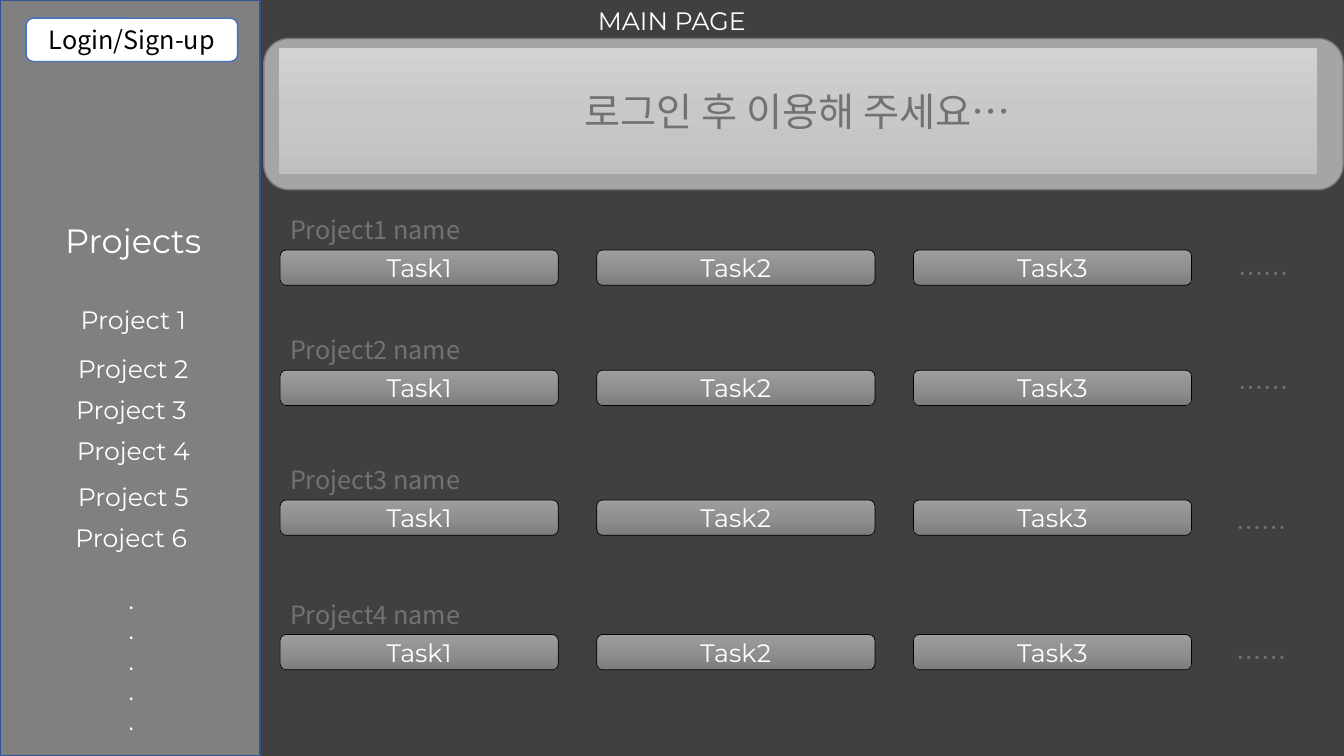
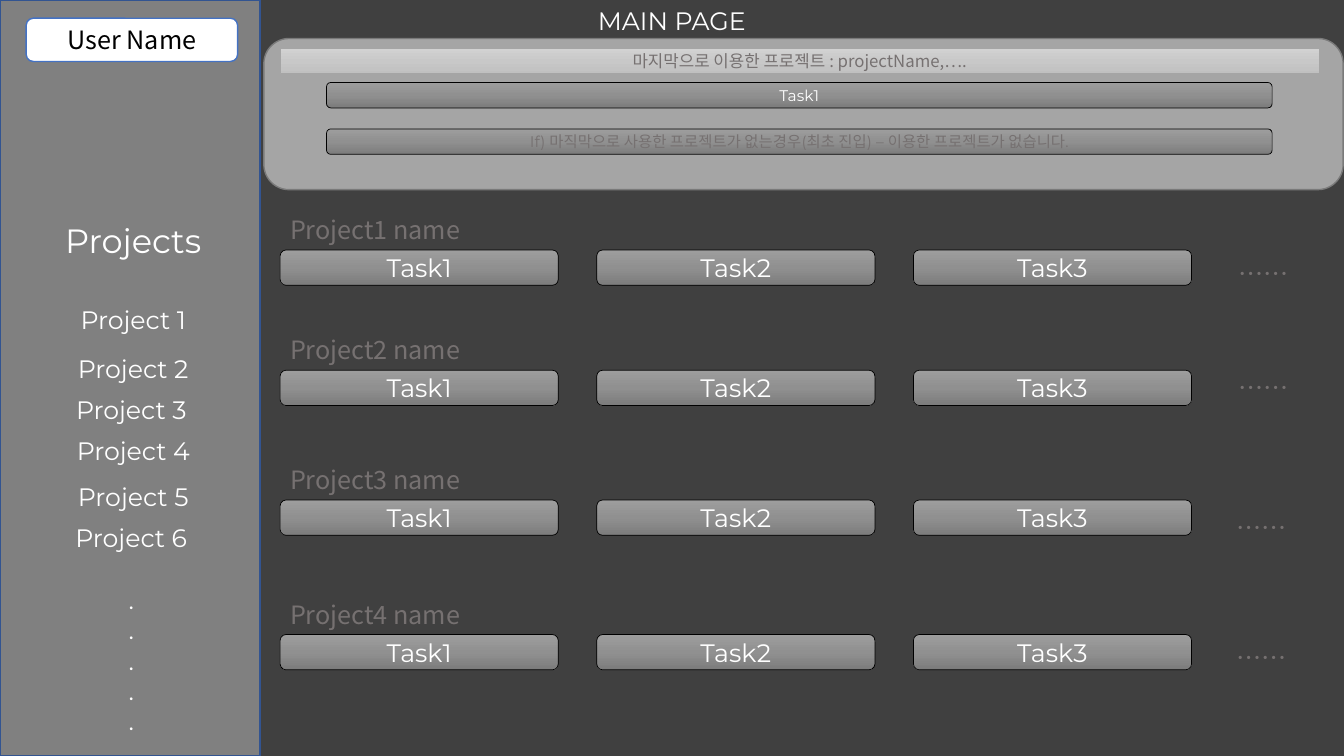
"""Build two wireframes of a project manager's main page."""
import copy

from lxml import etree
from pptx import Presentation
from pptx import util as u
from pptx.dml.color import RGBColor
from pptx.enum import shapes, text
from pptx.oxml.ns import qn

LATIN, KOREAN = "Montserrat", "Noto Sans CJK KR"
WHITE, BLACK, MUTED = "FFFFFF", "000000", "767171"
BACKGROUND, SIDEBAR, SIDEBAR_LINE, ACCENT = "404040", "D9D9D9", "325491", "4472C4"
PANEL, PANEL_LINE = "A5A5A5", "7A7A7A"
BUTTON_SHADES = ("9D9D9D", "909090", "7C7C7C")
NOTICE_SHADES = ("D2D2D2", "C8C8C8", "C0C0C0")
RECTANGLE = shapes.MSO_SHAPE.RECTANGLE
ROUNDED = shapes.MSO_SHAPE.ROUNDED_RECTANGLE
CENTER, LEFT = text.PP_ALIGN.CENTER, text.PP_ALIGN.LEFT

PROJECT_SPOTS = ((0.2, 7.54), (0.2, 8.79), (0.15, 9.8), (0.2, 10.85), (0.2, 12.01), (0.15, 13.03))
TASK_ROWS = ((5.28, 30.96, 6.38), (8.31, 30.96, 9.25), (11.58, 30.91, 12.78), (14.97, 30.91, 16.05))


def color(value):
    """Turn a hex string into a colour."""
    return RGBColor.from_string(value)


class Wireframe:
    """Hold the deck, the current page and the shared style."""

    def __init__(self):
        """Start a widescreen deck."""
        self.deck = Presentation()
        self.deck.slide_width, self.deck.slide_height = u.Cm(33.87), u.Cm(19.05)
        self.page = None

    def set_text(self, box, words, size, font, ink, align=CENTER):
        """Fill a box with text in one style."""
        box.text_frame.word_wrap = True
        box.text_frame.text = words
        for para in box.text_frame.paragraphs:
            para.alignment = align
            para.font.size = u.Pt(size)
            para.font.name = font
            para.font.color.rgb = color(ink)
        for style in box.element.iter(qn("a:defRPr")):
            etree.SubElement(style, qn("a:ea")).set("typeface", KOREAN)

    def start_page(self, title):
        """Add a dark page with its title."""
        self.page = self.deck.slides.add_slide(self.deck.slide_layouts[5])
        self.page.background.fill.solid()
        self.page.background.fill.fore_color.rgb = color(BACKGROUND)
        box = self.page.shapes.title
        box.left, box.top, box.width, box.height = u.Cm(11.81), u.Cm(0), u.Cm(10.24), u.Cm(1.02)
        self.set_text(box, title, 18, LATIN, WHITE)
        box.text_frame.vertical_anchor = text.MSO_ANCHOR.TOP
        box.text_frame.auto_size = text.MSO_AUTO_SIZE.NONE

    def label(self, words, left, top, width, height, size=18, font=LATIN, ink=WHITE, align=CENTER):
        """Add a text box."""
        box = self.page.shapes.add_textbox(u.Cm(left), u.Cm(top), u.Cm(width), u.Cm(height))
        self.set_text(box, words, size, font, ink, align)
        box.text_frame.auto_size = text.MSO_AUTO_SIZE.SHAPE_TO_FIT_TEXT

    def block(self, kind, place, fill, line, weight=1.0):
        """Add a preset shape with a plain fill, or a gradient for several shades."""
        box = self.page.shapes.add_shape(kind, *(u.Cm(length) for length in place))
        box.shadow.inherit = False
        box.line.color.rgb = color(line)
        box.line.width = u.Pt(weight)
        if isinstance(fill, str):
            box.fill.solid()
            box.fill.fore_color.rgb = color(fill)
        else:
            self.shade(box, fill)
        return box

    def shade(self, box, shades):
        """Fill a shape with three shades from top to bottom."""
        box.fill.gradient()
        box.fill.gradient_angle = 270
        first = next(box.element.iter(qn("a:gs")))
        middle = copy.deepcopy(first)
        middle.set("pos", "50000")
        first.addnext(middle)
        for stop, value in zip(box.fill.gradient_stops, shades):
            stop.color.rgb = color(value)

    def button(self, words, left, top, width, height, size=18, ink=WHITE):
        """Add a grey gradient button."""
        box = self.block(ROUNDED, (left, top, width, height), BUTTON_SHADES, BLACK, 0.5)
        self.set_text(box, words, size, LATIN, ink)

    def notice(self, words, left, top, width, height, size):
        """Add a light gradient message bar."""
        box = self.block(RECTANGLE, (left, top, width, height), NOTICE_SHADES, PANEL, 0.5)
        self.set_text(box, words, size, KOREAN, MUTED)

    def sidebar(self, account):
        """Add the account button and the project list."""
        band = self.block(RECTANGLE, (0, 0, 6.55, 19.05), SIDEBAR, SIDEBAR_LINE)
        tint = next(band.element.iter(qn("a:srgbClr")))
        etree.SubElement(tint, qn("a:alpha")).set("val", "42000")
        box = self.block(ROUNDED, (0.66, 0.46, 5.33, 1.09), WHITE, ACCENT)
        self.set_text(box, account, 18, KOREAN, BLACK)
        self.label("Projects", 0.2, 5.41, 6.32, 0.97, size=24)
        for number, (left, top) in enumerate(PROJECT_SPOTS, 1):
            self.label(f"Project {number}", left, top, 6.32, 0.79)
        self.label("\n".join("....."), 0.15, 14.6, 6.32, 3.71)

    def task_rows(self):
        """Add each project's name, its tasks and the sign for more."""
        for number, (top, more_left, more_top) in enumerate(TASK_ROWS, 1):
            self.label(f"Project{number} name", 7.06, top, 7.01, 1.02, font=KOREAN, ink=MUTED, align=LEFT)
            for column in range(3):
                self.button(f"Task{column + 1}", 7.06 + 7.98 * column, top + 1.02, 7.01, 0.89)
            self.label("……", more_left, more_top, 2.26, 1.02, font=KOREAN, ink=MUTED, align=LEFT)

    def main_page(self, account):
        """Add a page with everything the two states share."""
        self.start_page("MAIN PAGE")
        self.sidebar(account)
        self.block(ROUNDED, (6.65, 0.97, 27.2, 3.81), PANEL, PANEL_LINE)
        self.task_rows()


def main():
    """Build the signed-out and signed-in pages."""
    wireframe = Wireframe()
    wireframe.main_page("Login/Sign-up")
    wireframe.notice("로그인 후 이용해 주세요…", 7.01, 1.19, 26.19, 3.2, 28)

    wireframe.main_page("User Name")
    wireframe.notice("마지막으로 이용한 프로젝트 : projectName,….", 7.06, 1.22, 26.19, 0.64, 12)
    wireframe.button("Task1", 8.23, 2.08, 23.83, 0.64, size=11)
    wireframe.button("If) 마직막으로 사용한 프로젝트가 없는경우(최초 진입) – 이용한 프로젝트가 없습니다.",
                     8.23, 3.25, 23.83, 0.64, size=11, ink=MUTED)
    wireframe.deck.save("out.pptx")


if __name__ == "__main__":
    main()
